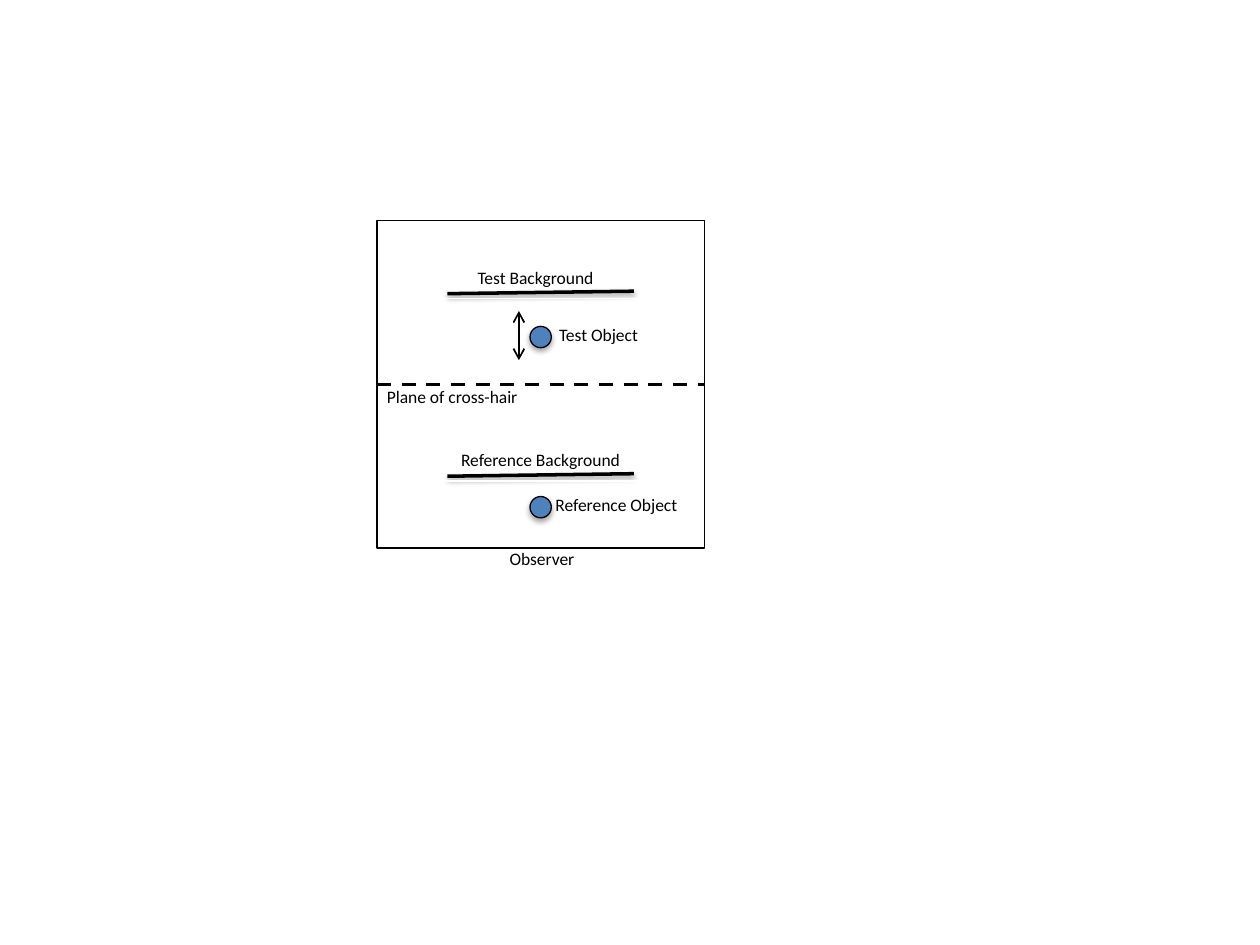
from lxml.etree import SubElement
from pptx import Presentation
from pptx.dml.color import RGBColor
from pptx.enum.dml import MSO_LINE
from pptx.enum.shapes import MSO_CONNECTOR, MSO_SHAPE
from pptx.enum.text import MSO_ANCHOR, PP_ALIGN
from pptx.oxml.ns import qn
from pptx.util import Cm, Pt

COLORS = {"ink": "000000", "paper": "FFFFFF", "object": "4F81BD"}
FONT = "Calibri"

# Lengths in centimetres
FRAME_LEFT, FRAME_TOP, FRAME_SIDE = 7.6, 4.45, 6.6
CENTER_X = FRAME_LEFT + FRAME_SIDE / 2
MIDDLE_Y = FRAME_TOP + FRAME_SIDE / 2
BACKGROUND_WIDTH, BACKGROUND_RISE = 3.76, 0.05
OBJECT_SIZE = 0.43
LABEL_WIDTH, LABEL_HEIGHT = 4.47, 0.86

BACKGROUND_YS = [5.92, 9.6]
OBJECT_TOPS = [6.58, 10.01]
MOTION_ARROW = (10.46, 6.27, 10.46, 7.26)
# text, left, top, outlined
LABELS = [
    ("Plane of cross-hair", 6.88, 7.57, False),
    ("Reference Object", 10.19, 9.75, False),
    ("Reference Background", 8.66, 8.84, True),
    ("Test Object", 9.83, 6.32, False),
    ("Test Background", 8.56, 5.16, True),
    ("Observer", 8.69, 10.82, False),
]


def color(name):
    return RGBColor.from_string(COLORS[name])


def set_shadow(shape, opacity=0, distance=0):
    """Replace the theme effect by a downward shadow, or by none at opacity 0."""
    properties = shape._element.spPr
    for old_effects in properties.findall(qn("a:effectLst")):
        properties.remove(old_effects)
    effects = SubElement(properties, qn("a:effectLst"))
    if opacity:
        shadow = SubElement(effects, qn("a:outerShdw"), blurRad=str(Pt(3.1)),
                            dist=str(Pt(distance)), dir="5400000", rotWithShape="0")
        ink = SubElement(shadow, qn("a:srgbClr"), val=COLORS["ink"])
        SubElement(ink, qn("a:alpha"), val=str(opacity * 1000))


def add_line(slide, points, width, opacity=0):
    line = slide.shapes.add_connector(MSO_CONNECTOR.STRAIGHT, *map(Cm, points))
    line.line.color.rgb = color("ink")
    line.line.width = Pt(width)
    set_shadow(line, opacity, 1.6)
    return line


def add_shape(slide, kind, left, top, width, height, fill=None, outline=None, opacity=0):
    shape = slide.shapes.add_shape(kind, Cm(left), Cm(top), Cm(width), Cm(height))
    if fill:
        shape.fill.solid()
        shape.fill.fore_color.rgb = color(fill)
    else:
        shape.fill.background()
    if outline:
        shape.line.color.rgb = color(outline)
        shape.line.width = Pt(0.75)
    else:
        shape.line.fill.background()
    set_shadow(shape, opacity, 1.8)
    return shape


def add_label(slide, text, left, top, outlined):
    if outlined:
        label = add_shape(slide, MSO_SHAPE.RECTANGLE, left, top,
                          LABEL_WIDTH, LABEL_HEIGHT, outline="paper")
    else:
        label = slide.shapes.add_textbox(Cm(left), Cm(top), Cm(LABEL_WIDTH), Cm(LABEL_HEIGHT))
    frame = label.text_frame
    frame.word_wrap = True
    frame.vertical_anchor = MSO_ANCHOR.MIDDLE
    frame.text = text
    paragraph = frame.paragraphs[0]
    paragraph.alignment = PP_ALIGN.CENTER
    font = paragraph.runs[0].font
    font.name, font.size = FONT, Pt(10)
    font.color.rgb = color("ink")


def main():
    presentation = Presentation()
    presentation.slide_width, presentation.slide_height = Cm(25.4), Cm(19.05)
    slide = presentation.slides.add_slide(presentation.slide_layouts[6])

    add_shape(slide, MSO_SHAPE.RECTANGLE, FRAME_LEFT, FRAME_TOP, FRAME_SIDE, FRAME_SIDE,
              fill="paper", outline="ink")
    background_left = CENTER_X - BACKGROUND_WIDTH / 2
    for y in BACKGROUND_YS:
        add_line(slide, (background_left, y, background_left + BACKGROUND_WIDTH,
                         y - BACKGROUND_RISE), 2, opacity=38)
    cross_hair = add_line(slide, (FRAME_LEFT, MIDDLE_Y, FRAME_LEFT + FRAME_SIDE, MIDDLE_Y), 2)
    cross_hair.line.dash_style = MSO_LINE.DASH

    for top in OBJECT_TOPS:
        add_shape(slide, MSO_SHAPE.OVAL, CENTER_X - OBJECT_SIZE / 2, top,
                  OBJECT_SIZE, OBJECT_SIZE, fill="object", outline="ink", opacity=35)
    for label in LABELS:
        add_label(slide, *label)

    motion = add_line(slide, MOTION_ARROW, 1)
    outline = motion._element.spPr.find(qn("a:ln"))
    for end in ("a:headEnd", "a:tailEnd"):
        SubElement(outline, qn(end), type="arrow")

    presentation.save("out.pptx")


if __name__ == "__main__":
    main()
